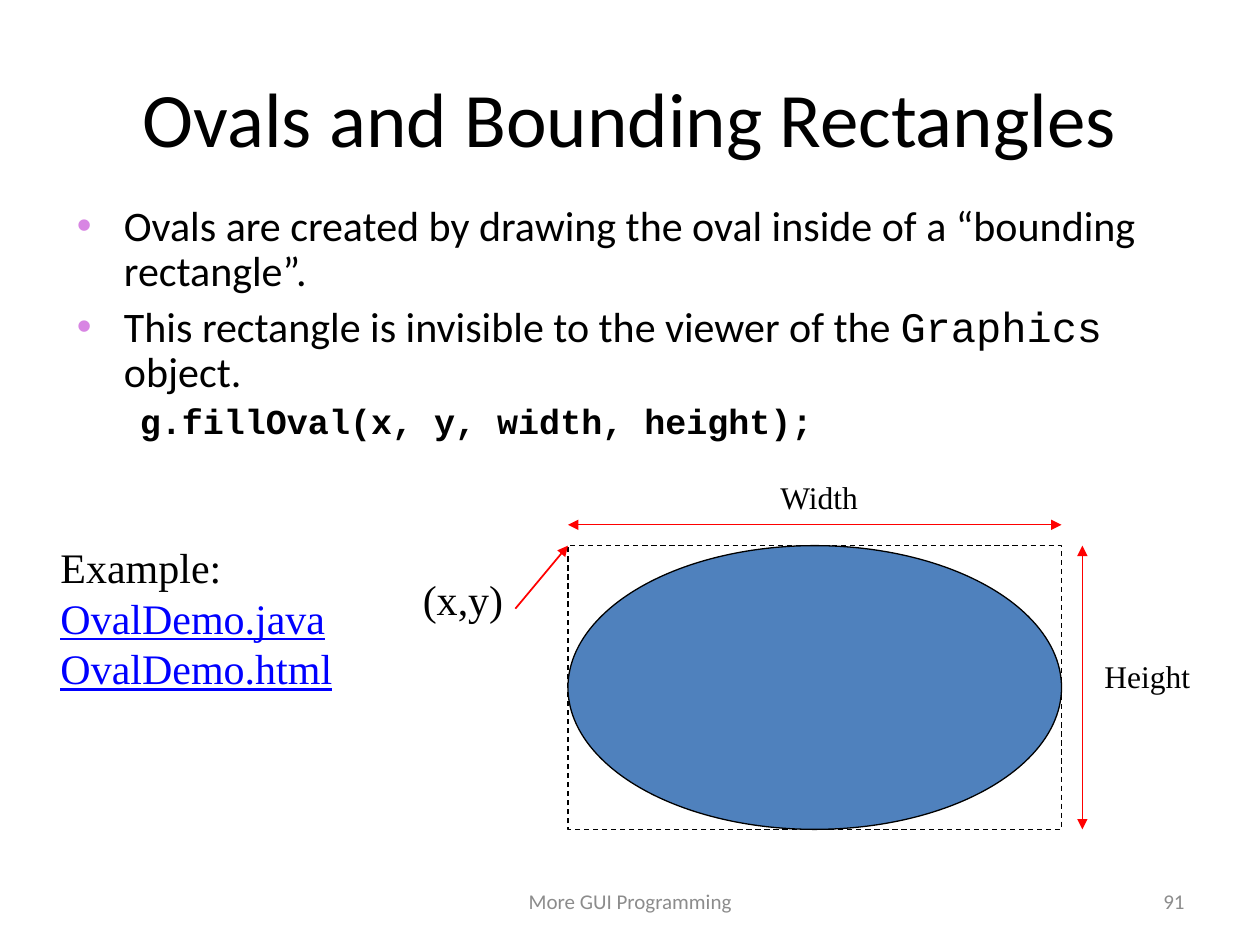
from lxml.etree import SubElement
from pptx import Presentation
from pptx.dml.color import RGBColor
from pptx.enum.dml import MSO_LINE
from pptx.enum.shapes import MSO_CONNECTOR, MSO_SHAPE
from pptx.enum.text import MSO_ANCHOR, MSO_AUTO_SIZE, PP_ALIGN
from pptx.oxml.ns import qn
from pptx.util import Cm, Pt

COLORS = {
    "text": "000000",
    "footer": "8C8C8C",
    "bullet": "D885E3",
    "oval": "4F81BD",
    "arrow": "FF0000",
    "link": "0000FF",
}
SANS, MONO, SERIF = "Calibri", "Courier New", "Times New Roman"


def color(name):
    return RGBColor.from_string(COLORS[name])


def write_text(paragraph, text, size=24, font=SANS, fill="text", bold=False, underline=False):
    for index, line in enumerate(text.split("\n")):
        if index:
            paragraph.add_line_break()
        if line:
            run = paragraph.add_run()
            run.text = line
            run.font.size = Pt(size)
            run.font.name = font
            run.font.bold = bold
            run.font.underline = underline
            run.font.color.rgb = color(fill)


def add_frame(shapes, box, anchor=MSO_ANCHOR.TOP, wrap=True):
    frame = shapes.add_textbox(*map(Cm, box)).text_frame
    frame.word_wrap = wrap
    frame.auto_size = MSO_AUTO_SIZE.NONE if wrap else MSO_AUTO_SIZE.SHAPE_TO_FIT_TEXT
    frame.vertical_anchor = anchor
    return frame


def add_label(shapes, box, text, align=PP_ALIGN.CENTER, wrap=True, **text_format):
    anchor = MSO_ANCHOR.MIDDLE if wrap else MSO_ANCHOR.TOP
    paragraph = add_frame(shapes, box, anchor, wrap).paragraphs[0]
    paragraph.alignment = align
    write_text(paragraph, text, **text_format)


def format_paragraph(paragraph, margin, indent, space, bullet=False):
    paragraph.line_spacing = 0.9
    paragraph.space_before = Pt(space)
    properties = paragraph._p.get_or_add_pPr()
    properties.set("marL", str(Cm(margin)))
    properties.set("indent", str(Cm(indent)))
    if bullet:
        bullet_color = SubElement(properties, qn("a:buClr"))
        SubElement(bullet_color, qn("a:srgbClr"), val=COLORS["bullet"])
        SubElement(properties, qn("a:buFont"), typeface="Arial")
        SubElement(properties, qn("a:buChar"), char="•")


def add_body(slide, box):
    frame = add_frame(slide.shapes, box)
    frame.margin_right = 0
    bullets = [
        [("Ovals are created by drawing the oval inside of a “bounding rectangle”.", SANS)],
        [
            ("This rectangle is invisible to the viewer of the ", SANS),
            ("Graphics", MONO),
            (" object.", SANS),
        ],
    ]
    paragraph = frame.paragraphs[0]
    for parts in bullets:
        format_paragraph(paragraph, 0.95, -0.95, 5.8, bullet=True)
        for text, font in parts:
            write_text(paragraph, text, font=font)
        paragraph = frame.add_paragraph()
    paragraph.level = 1
    format_paragraph(paragraph, 2.06, -0.79, 4.5)
    write_text(paragraph, "g.fillOval(x, y, width, height);", size=20, font=MONO, bold=True)


def add_outline(shapes, kind, box, fill=None, dash=None):
    shape = shapes.add_shape(kind, *map(Cm, box))
    shape.shadow.inherit = False
    if fill:
        shape.fill.solid()
        shape.fill.fore_color.rgb = color(fill)
    else:
        shape.fill.background()
    shape.line.color.rgb = color("text")
    shape.line.width = Pt(0.75)
    if dash:
        shape.line.dash_style = dash


def add_arrow(shapes, start, end, width=0.75, both_ends=True):
    arrow = shapes.add_connector(MSO_CONNECTOR.STRAIGHT, *map(Cm, start + end))
    arrow.line.color.rgb = color("arrow")
    arrow.line.width = Pt(width)
    line = arrow.line._get_or_add_ln()
    for tag in ["a:headEnd", "a:tailEnd"] if both_ends else ["a:tailEnd"]:
        SubElement(line, qn(tag), type="triangle")
    SubElement(arrow._element.spPr, qn("a:effectLst"))


def add_diagram(slide, box):
    left, top, width, height = box
    right, bottom = left + width, top + height
    gap = 0.42
    shapes = slide.shapes.add_group_shape().shapes
    add_outline(shapes, MSO_SHAPE.RECTANGLE, box, dash=MSO_LINE.DASH)
    add_outline(shapes, MSO_SHAPE.OVAL, box, fill="oval")
    add_label(shapes, (left - 3.18, top + 0.43, 2.13, 1.27), "(x,y)", wrap=False, font=SERIF)
    add_arrow(shapes, (left - 1.06, top + 1.27), (left, top), width=1, both_ends=False)
    add_arrow(shapes, (left, top - gap), (right, top - gap))
    add_label(shapes, (left + 4.01, top - 1.48, 2.11, 1.02), "Width",
              wrap=False, size=18, font=SERIF)
    add_arrow(shapes, (right + gap, bottom), (right + gap, top))
    add_label(shapes, (right + 0.61, top + 2.13, 2.24, 1.02), "Height",
              wrap=False, size=18, font=SERIF)


def add_example(slide, box):
    paragraph = add_frame(slide.shapes, box, wrap=False).paragraphs[0]
    paragraph.alignment = PP_ALIGN.LEFT
    write_text(paragraph, "Example:\n", font=SERIF)
    write_text(paragraph, "OvalDemo.java\nOvalDemo.html", font=SERIF, fill="link", underline=True)


def add_footer(slide, box):
    left, top, width, height = box
    number_width = 5.92
    add_label(slide.shapes, (left, top, 8.05, height), "More GUI Programming",
              size=12, fill="footer")
    add_label(slide.shapes, (left + width - number_width, top, number_width, height), "91",
              align=PP_ALIGN.RIGHT, size=12, fill="footer")


def main():
    presentation = Presentation()
    presentation.slide_width = Cm(25.4)
    presentation.slide_height = Cm(19.05)
    slide = presentation.slides.add_slide(presentation.slide_layouts[6])
    add_label(slide.shapes, (1.27, 0.76, 22.86, 3.18), "Ovals and Bounding Rectangles", size=44)
    add_footer(slide, (8.68, 17.65, 15.45, 1.02))
    add_body(slide, (1.3, 4.01, 23.04, 5.54))
    add_diagram(slide, (11.45, 11, 9.95, 5.72))
    add_example(slide, (0.97, 10.8, 7.32, 3.33))
    presentation.save("out.pptx")


if __name__ == "__main__":
    main()
